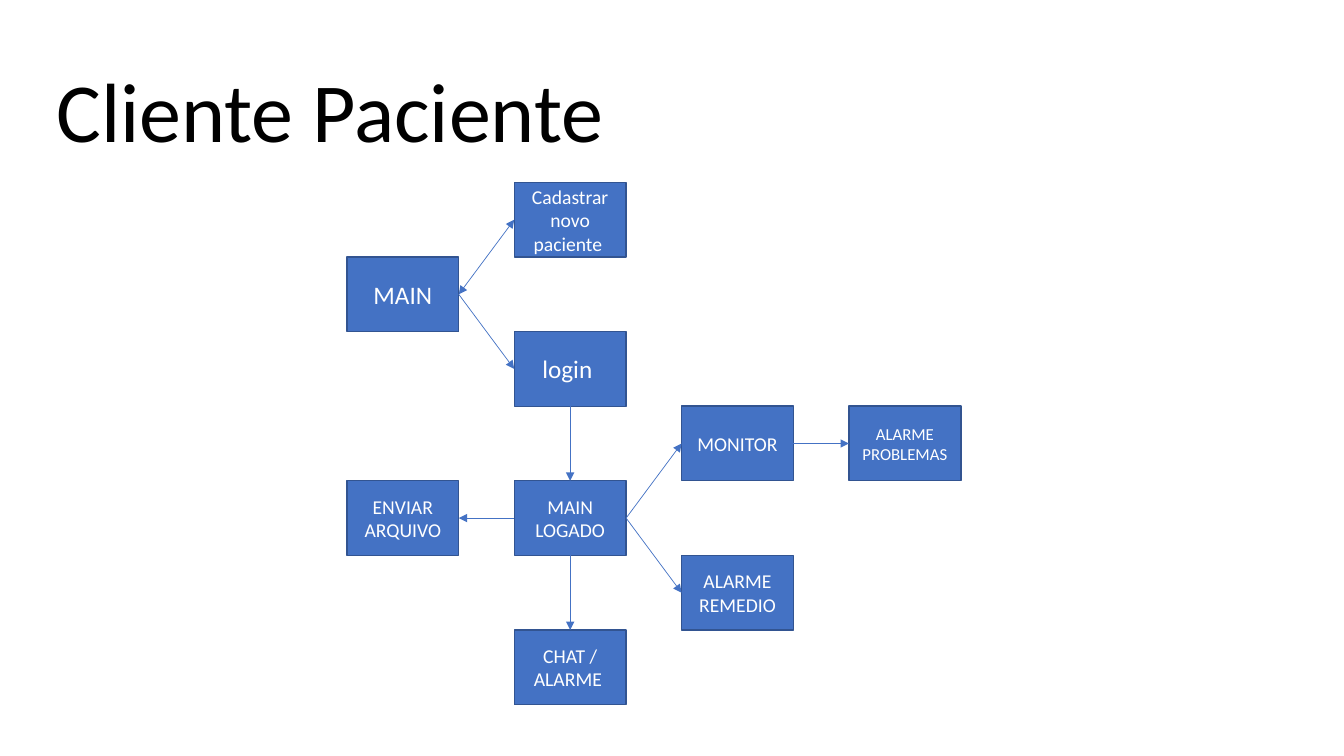
from lxml.etree import SubElement
from pptx import Presentation
from pptx.dml.color import RGBColor
from pptx.enum.shapes import MSO_CONNECTOR as Connector, MSO_SHAPE as Shape
from pptx.enum.text import MSO_ANCHOR as Anchor, PP_ALIGN as Align
from pptx.oxml.ns import qn
from pptx.util import Inches, Pt


def color(value):
    return RGBColor.from_string(value)


def set_text(shape, text, size, fill="FFFFFF", align=Align.CENTER,
             anchor=Anchor.MIDDLE, spacing=1.0):
    frame = shape.text_frame
    frame.word_wrap = True
    frame.vertical_anchor = anchor
    paragraph = frame.paragraphs[0]
    paragraph.alignment = align
    paragraph.line_spacing = spacing
    run = paragraph.add_run()
    run.text = text
    run.font.name = "Calibri"
    run.font.size = Pt(size)
    run.font.color.rgb = color(fill)


presentation = Presentation()
presentation.slide_width = Inches(13.33)
presentation.slide_height = Inches(7.5)
slide = presentation.slides.add_slide(presentation.slide_layouts[6])

# Title
title = slide.shapes.add_textbox(Inches(0.46), Inches(0.19), Inches(11.5), Inches(1.45))
set_text(title, "Cliente Paciente", 60, fill="000000", align=Align.LEFT,
         anchor=Anchor.BOTTOM, spacing=0.9)

# Process boxes on a grid: name, column, row, text, size
BOX_WIDTH, BOX_HEIGHT = 1.11, 0.74
LEFT, TOP, COLUMN_STEP = 3.44, 1.81, 1.66
steps = [
    ("main", 0, 1, "MAIN", 18),
    ("register", 1, 0, "Cadastrar novo paciente ", 14),
    ("login", 1, 2, "login ", 18),
    ("logged", 1, 4, "MAIN LOGADO", 14),
    ("monitor", 2, 3, "MONITOR", 14),
    ("problems", 3, 3, "ALARME PROBLEMAS", 12),
    ("chat", 1, 6, "CHAT / ALARME ", 14),
    ("medicine", 2, 5, "ALARME REMEDIO", 14),
    ("send", 0, 4, "ENVIAR ARQUIVO", 14),
]
boxes = {}
for name, column, row, text, size in steps:
    box = slide.shapes.add_shape(
        Shape.FLOWCHART_PROCESS,
        Inches(LEFT + column * COLUMN_STEP), Inches(TOP + row * BOX_HEIGHT),
        Inches(BOX_WIDTH), Inches(BOX_HEIGHT))
    box.shadow.inherit = False
    box.fill.solid()
    box.fill.fore_color.rgb = color("4472C4")
    box.line.color.rgb = color("325491")
    box.line.width = Pt(1)
    set_text(box, text, size)
    boxes[name] = box

# Arrows between connection sites: start, site, end, site, arrowheads
TOP_SITE, LEFT_SITE, BOTTOM_SITE, RIGHT_SITE = range(4)
arrows = [
    ("main", RIGHT_SITE, "register", LEFT_SITE, ("headEnd", "tailEnd")),
    ("main", RIGHT_SITE, "login", LEFT_SITE, ("tailEnd",)),
    ("login", BOTTOM_SITE, "logged", TOP_SITE, ("tailEnd",)),
    ("monitor", RIGHT_SITE, "problems", LEFT_SITE, ("tailEnd",)),
    ("logged", RIGHT_SITE, "monitor", LEFT_SITE, ("tailEnd",)),
    ("logged", RIGHT_SITE, "medicine", LEFT_SITE, ("tailEnd",)),
    ("logged", BOTTOM_SITE, "chat", TOP_SITE, ("tailEnd",)),
    ("logged", LEFT_SITE, "send", RIGHT_SITE, ("tailEnd",)),
]
for start, start_site, end, end_site, arrowheads in arrows:
    arrow = slide.shapes.add_connector(Connector.STRAIGHT, 0, 0, 0, 0)
    arrow.begin_connect(boxes[start], start_site)
    arrow.end_connect(boxes[end], end_site)
    arrow.line.color.rgb = color("4472C4")
    arrow.line.width = Pt(0.5)
    properties = arrow._element.spPr
    for arrowhead in arrowheads:
        SubElement(properties.find(qn("a:ln")), qn(f"a:{arrowhead}"), type="triangle")
    SubElement(properties, qn("a:effectLst"))

presentation.save("out.pptx")
